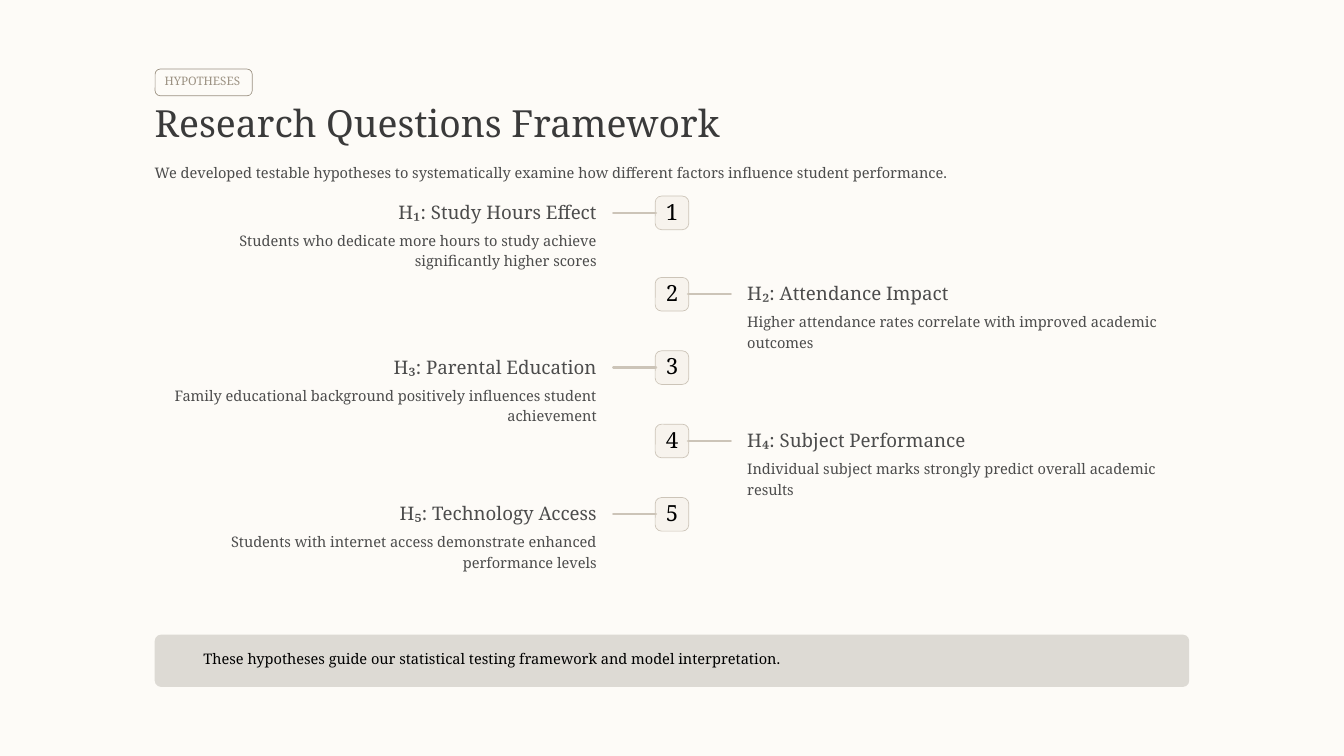
from lxml.etree import SubElement
from pptx import Presentation
from pptx.dml.color import RGBColor
from pptx.enum.shapes import MSO_CONNECTOR as CONN, MSO_SHAPE as SHAPE
from pptx.enum.text import MSO_ANCHOR as ANCHOR, MSO_AUTO_SIZE as AUTO, PP_ALIGN as ALIGN
from pptx.oxml.ns import qn
from pptx.util import Pt

TAG = "HYPOTHESES"
TITLE = "Research Questions Framework"
LEAD = ("We developed testable hypotheses to systematically examine "
        "how different factors influence student performance.")
HYPOTHESES = [
    ("H₁: Study Hours Effect",
     "Students who dedicate more hours to study achieve significantly higher scores"),
    ("H₂: Attendance Impact",
     "Higher attendance rates correlate with improved academic outcomes"),
    ("H₃: Parental Education",
     "Family educational background positively influences student achievement"),
    ("H₄: Subject Performance",
     "Individual subject marks strongly predict overall academic results"),
    ("H₅: Technology Access",
     "Students with internet access demonstrate enhanced performance levels"),
]
NOTE = "These hypotheses guide our statistical testing framework and model interpretation."

FONT = "Noto Serif"
COLORS = {"page": "FDFBF7", "tag": "9C9283", "title": "3A3A3A", "text": "4C4C4C",
          "line": "CCC4B8", "tile": "E6DED2", "note": "DDDAD4", "black": "000000"}
# style: size, line spacing, colour
STYLES = {"tag": (12.5, 17.5, "tag"), "title": (40, 50, "title"),
          "body": (15.6, 21.9, "text"), "heading": (20, 25, "text"),
          "number": (23.8, 23.8, "black"), "note": (15.6, 21.9, "black")}

SLIDE_W, SLIDE_H = 1440, 810
MARGIN = 165.8
CONTENT_W = SLIDE_W - 2 * MARGIN
MID = SLIDE_W / 2
COLUMN_W = 473.6
TILE = 36
FIRST_TOP, SECOND_TOP, ROW_STEP = 210.1, 297.3, 78.6
LINE_START, LINE_END = 17, 63  # distances from the centre axis


def rgb(name):
    return RGBColor.from_string(COLORS[name])


def write(sp, text, style, align=ALIGN.LEFT):
    size, spacing, color = STYLES[style]
    tf = sp.text_frame
    tf.word_wrap = True
    tf.auto_size = AUTO.NONE
    tf.vertical_anchor = ANCHOR.TOP
    tf.margin_left = tf.margin_right = tf.margin_top = tf.margin_bottom = 0
    tf.text = text
    p = tf.paragraphs[0]
    p.alignment = align
    p.line_spacing = Pt(spacing)
    p.space_before = Pt(0)
    font = p.runs[0].font
    font.name, font.size, font.color.rgb = FONT, Pt(size), rgb(color)


def add_text(s, x, y, w, h, text, style, align=ALIGN.LEFT):
    write(s.shapes.add_textbox(Pt(x), Pt(y), Pt(w), Pt(h)), text, style, align)


def add_box(s, x, y, w, h, radius, fill=None, line=None, opacity=None):
    """Rounded box; opacity is a percentage of the fill."""
    sp = s.shapes.add_shape(SHAPE.ROUNDED_RECTANGLE, Pt(x), Pt(y), Pt(w), Pt(h))
    sp.adjustments[0] = radius / min(w, h)
    sp.shadow.inherit = False
    if fill:
        sp.fill.solid()
        sp.fill.fore_color.rgb = rgb(fill)
    else:
        sp.fill.background()
    if opacity:
        color = sp.fill._xPr.find(qn("a:solidFill"))[0]
        SubElement(color, qn("a:alpha"), val=str(opacity * 1000))
    if line:
        sp.line.color.rgb = rgb(line)
        sp.line.width = Pt(0.75)
    else:
        sp.line.fill.background()


def add_line(s, x1, x2, y):
    c = s.shapes.add_connector(CONN.STRAIGHT, Pt(x1), Pt(y), Pt(x2), Pt(y))
    c.line.color.rgb = rgb("line")
    c.line.width = Pt(2.4)
    c.line._get_or_add_ln().set("cap", "rnd")
    SubElement(c._element.spPr, qn("a:effectLst"))


def add_hypothesis(s, index, heading, body):
    """Odd numbers go left of the centre axis, even numbers right."""
    top = SECOND_TOP + (index - 1) * ROW_STEP if index else FIRST_TOP
    on_left = index % 2 == 0
    side, align = (-1, ALIGN.RIGHT) if on_left else (1, ALIGN.LEFT)
    x = MARGIN if on_left else SLIDE_W - MARGIN - COLUMN_W
    tile_x = MID - TILE / 2
    ends = sorted((MID + side * LINE_START, MID + side * LINE_END))
    add_line(s, *ends, top + TILE / 2)
    add_box(s, tile_x, top, TILE, TILE, 6.8, "tile", "line", 25)
    add_text(s, tile_x + 6, top + 6.6, TILE - 12, 26.6, str(index + 1), "number", ALIGN.CENTER)
    add_text(s, x, top + 4, COLUMN_W, 26.6, heading, "heading", align)
    add_text(s, x, top + 35.2, COLUMN_W, 46, body, "body", align)


prs = Presentation()
prs.slide_width, prs.slide_height = Pt(SLIDE_W), Pt(SLIDE_H)
s = prs.slides.add_slide(prs.slide_layouts[5])
s.background.fill.solid()
s.background.fill.fore_color.rgb = rgb("page")

add_box(s, MARGIN + 0.4, 74, 104, 28.6, 5.4, line="tag")
add_text(s, 176.4, 77, 83.6, 20, TAG, "tag")

title = s.shapes.title
title.left, title.top, title.width, title.height = Pt(MARGIN), Pt(105.2), Pt(CONTENT_W), Pt(52.6)
write(title, TITLE, "title")
add_text(s, MARGIN, 172.8, CONTENT_W, 24.5, LEAD, "body")

for i, (heading, body) in enumerate(HYPOTHESES):
    add_hypothesis(s, i, heading, body)

add_box(s, MARGIN, 680, CONTENT_W, 56, 6.8, "note")
add_text(s, 218, 693.4, 1040, 24.5, NOTE, "note")

prs.save("out.pptx")
